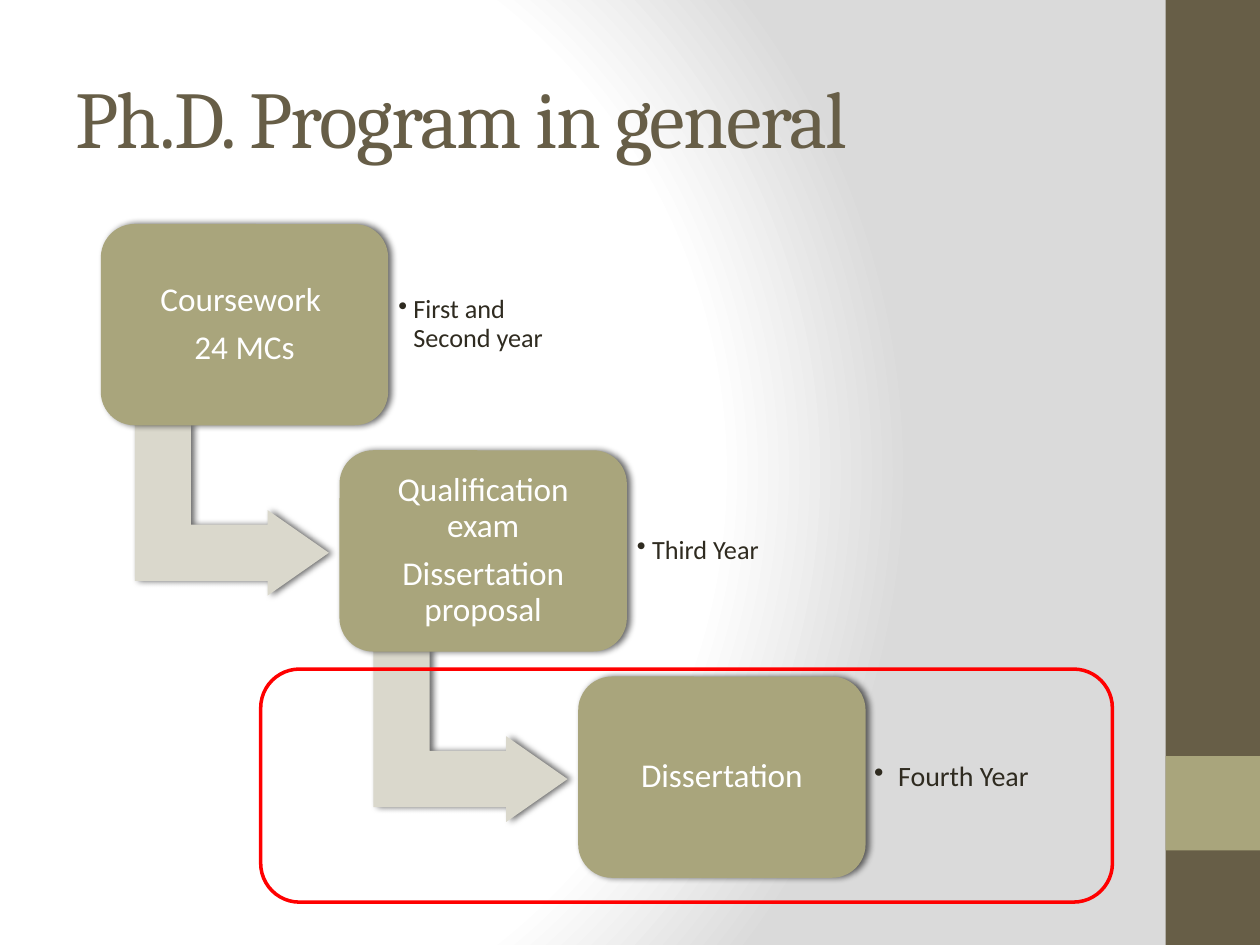
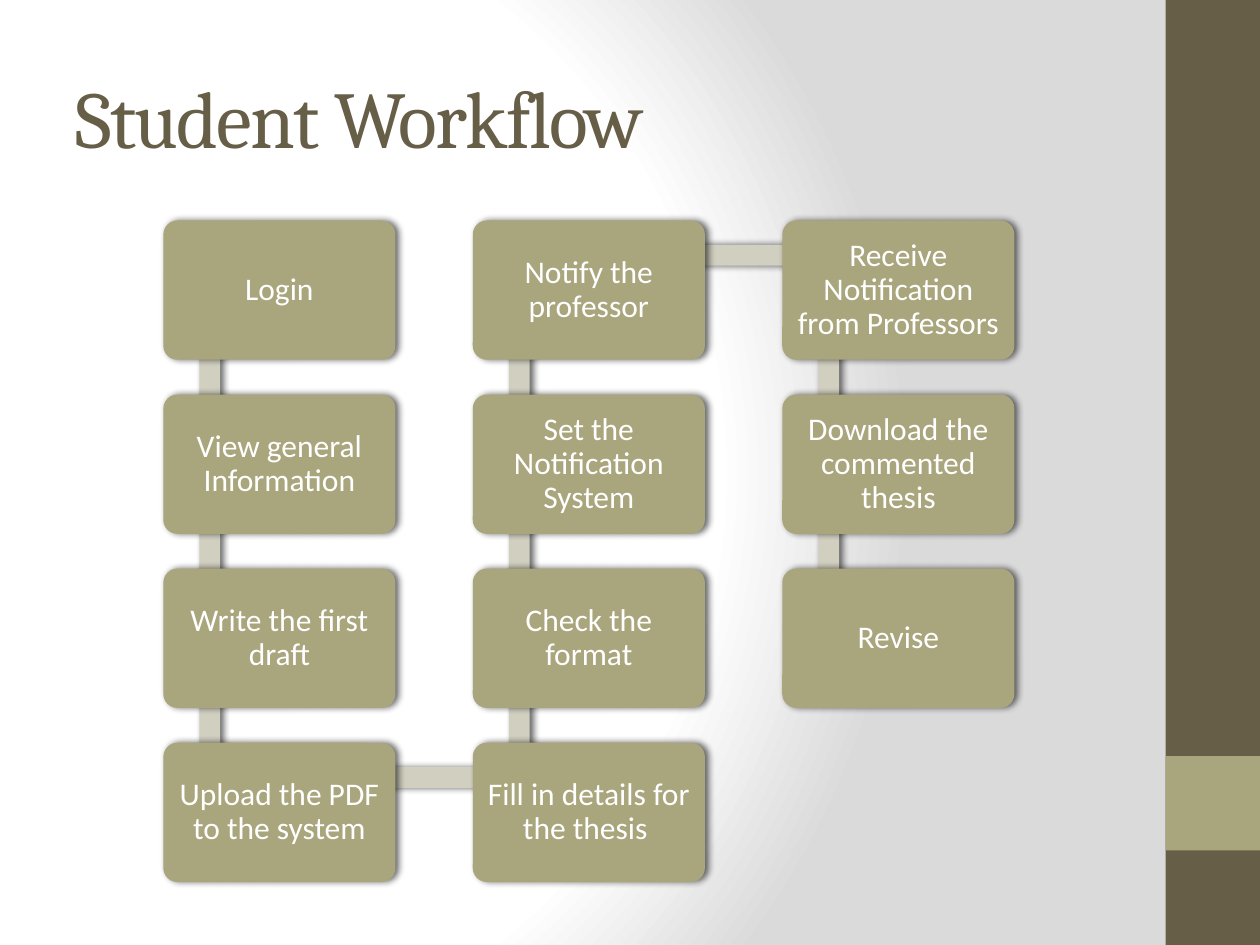
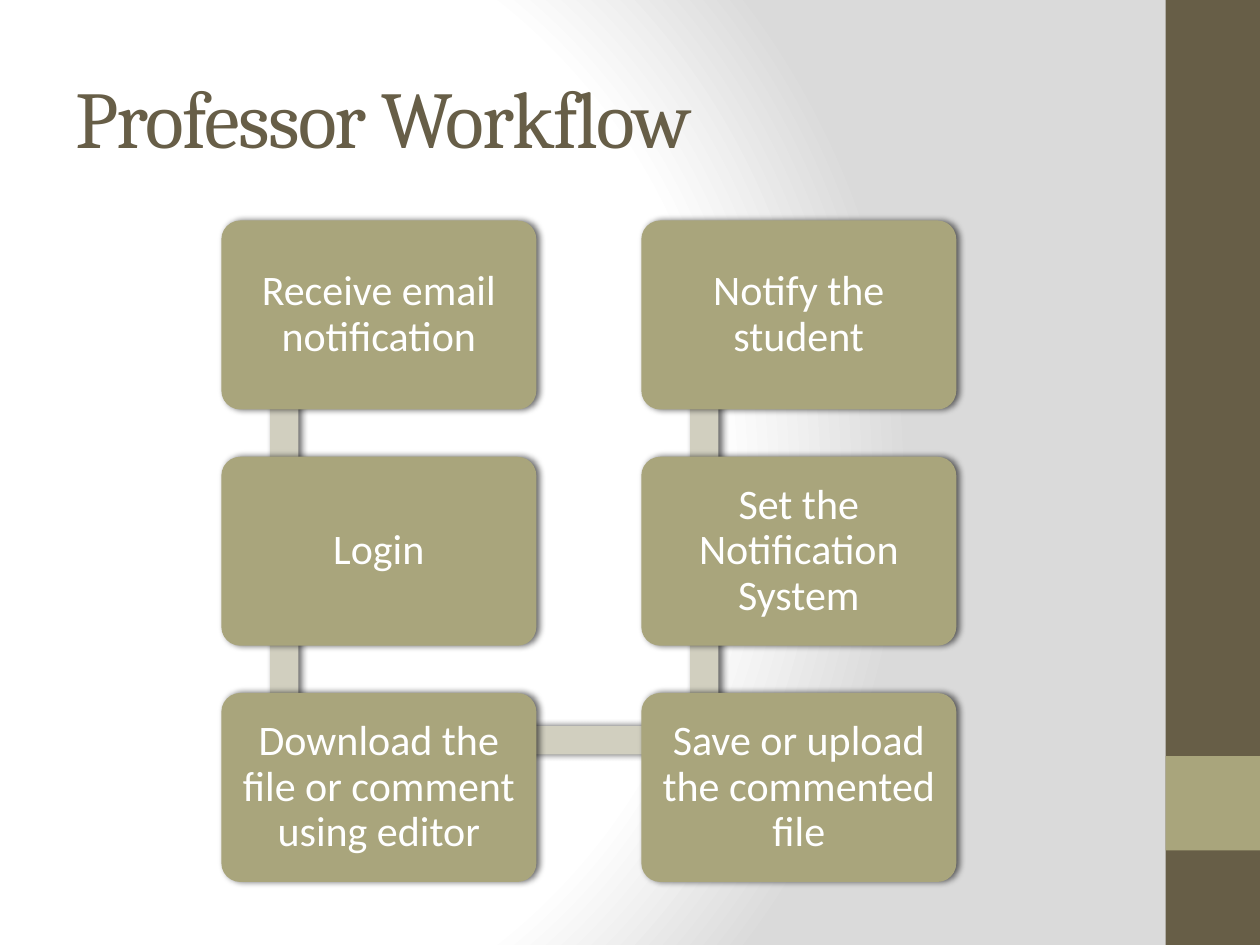
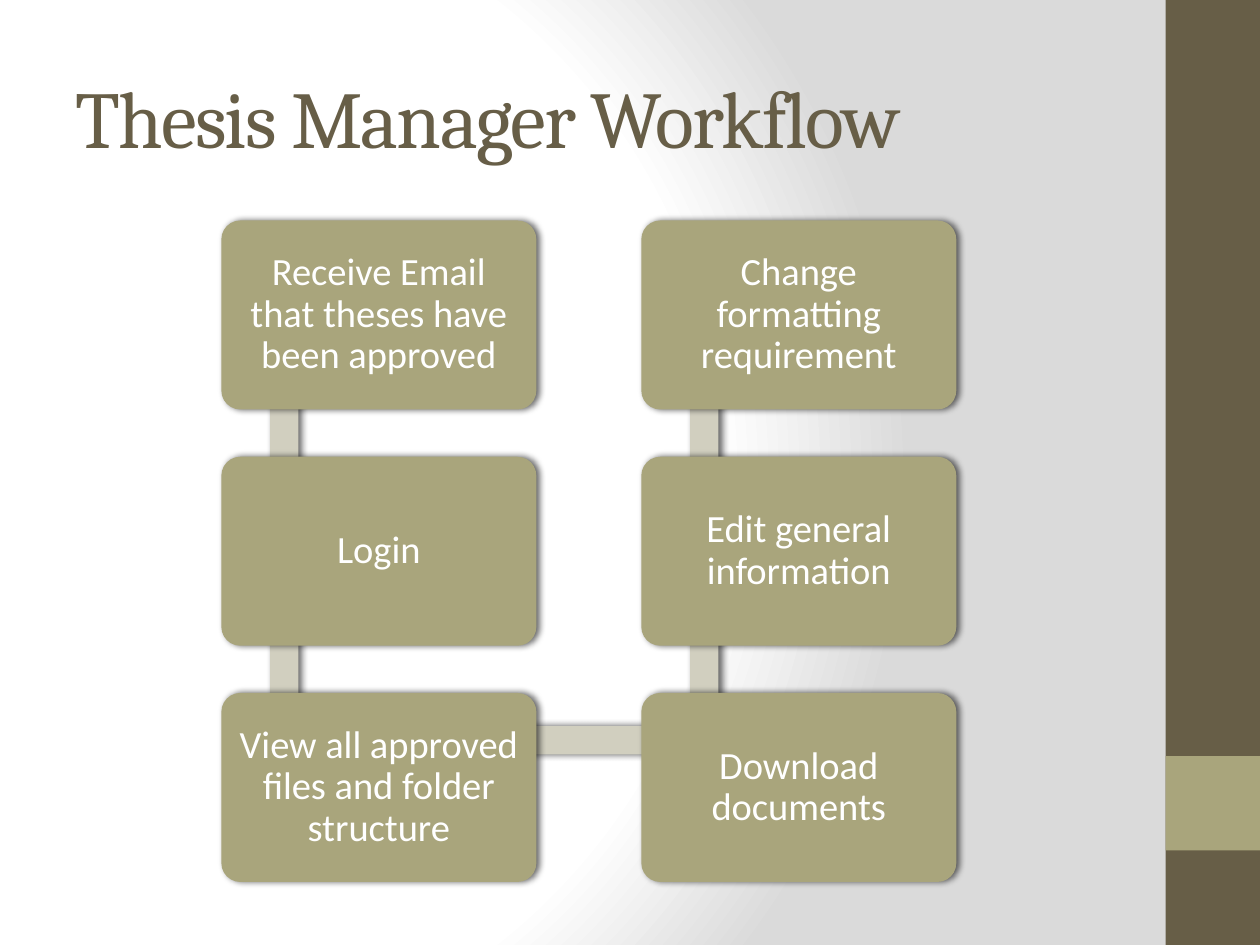
from pptx import Presentation
from pptx.dml.color import RGBColor
from pptx.enum.shapes import MSO_SHAPE as Preset
from pptx.enum.text import MSO_ANCHOR as Anchor, PP_ALIGN as Align
from pptx.oxml import parse_xml
from pptx.oxml.ns import nsdecls, qn
from pptx.util import Pt

BROWN = RGBColor(0x67, 0x5E, 0x47)
OLIVE = RGBColor(0xA9, 0xA5, 0x7C)
BAR = RGBColor(0xD1, 0xCF, 0xBF)
ARROW = RGBColor(0xDA, 0xD8, 0xCC)
INK = RGBColor(0x2F, 0x2B, 0x20)
WHITE = RGBColor(0xFF, 0xFF, 0xFF)
MIST = RGBColor(0xDA, 0xDA, 0xDA)
RED = RGBColor(0xFF, 0x00, 0x00)
HEADING_FONT, BODY_FONT = "Cambria", "Calibri"

SLIDE_W, SLIDE_H = 720, 540
TITLE_BOX = (36, 21.6, 600, 90)
BODY_BOX = (36.5, 126, 600, 378)
STEP_W, STEP_H = 164.2, 115
STEP_DX, STEP_DY = 136.4, 129.3

PROGRAM = [
    (["Coursework ", "24 MCs"], "First and Second year", 15, 5.8, 8.6),
    (["Qualification exam", "Dissertation proposal"], "Third Year", 15, 5.8, 8.6),
    (["Dissertation"], "Fourth Year", 16, 5, 13.7),
]
WORKFLOWS = [
    ("Student Workflow", 4, 18, [
        "Login", "View general Information", "Write the first draft",
        "Upload the PDF to the system", "Fill in details for the thesis ",
        "Check the format", "Set the Notification System",
        "Notify the professor", "Receive Notification from Professors",
        "Download the commented thesis", "Revise"]),
    ("Professor Workflow", 3, 24, [
        "Receive email notification", "Login",
        "Download the file or comment using editor",
        "Save or upload the commented file",
        "Set the Notification System", "Notify the student"]),
    ("Thesis Manager Workflow", 3, 22, [
        "Receive Email that theses have been approved", "Login",
        "View all approved files and folder structure",
        "Download documents", "Edit general information",
        "Change formatting requirement"]),
]


def add_block(slide, preset, box, color, shadowed=True):
    """Add a filled, unlined shape, with a soft shadow if wanted."""
    block = slide.shapes.add_shape(preset, *map(Pt, box))
    block.fill.solid()
    block.fill.fore_color.rgb = color
    block.line.fill.background()
    block.shadow.inherit = False
    if shadowed:
        block.element.spPr.find(qn("a:effectLst")).append(parse_xml(
            f'<a:outerShdw {nsdecls("a")} blurRad="{Pt(4)}" dist="{Pt(2)}" dir="0" '
            'rotWithShape="0"><a:srgbClr val="000000"><a:alpha val="60000"/>'
            '</a:srgbClr></a:outerShdw>'))
    return block


def write(holder, lines, size, color, inset=None, font=BODY_FONT, align=Align.LEFT,
          spacing=0.9, after=0):
    """Fill a shape with vertically centred paragraphs of one style."""
    frame = holder.text_frame
    frame.word_wrap = True
    frame.vertical_anchor = Anchor.MIDDLE
    if inset is not None:
        frame.margin_left = frame.margin_right = Pt(inset)
        frame.margin_top = frame.margin_bottom = Pt(inset)
    frame.text = "\n".join(lines)
    for paragraph in frame.paragraphs:
        paragraph.alignment = align
        paragraph.line_spacing = spacing
        paragraph.space_after = Pt(after)
        paragraph.font.name = font
        paragraph.font.size = Pt(size)
        paragraph.font.color.rgb = color


def add_card(slide, box, lines, size, corner):
    """Add a rounded olive card with centred white text."""
    card = add_block(slide, Preset.ROUNDED_RECTANGLE, box, OLIVE)
    card.adjustments[0] = corner
    write(card, lines, size, WHITE, 0.3 * size, align=Align.CENTER, after=0.35 * size)


def add_title(slide, box, title):
    """Add the slide heading."""
    heading = slide.shapes.add_textbox(*map(Pt, box))
    write(heading, [title], 46, BROWN, font=HEADING_FONT, spacing=1.0)
    heading.element.xpath(".//a:defRPr")[0].set("spc", "-100")


def add_year(slide, box, year, size, inset, hang):
    """Add a bulleted year note."""
    note = slide.shapes.add_textbox(*map(Pt, box))
    write(note, [year], size, INK, inset, after=0.15 * size)
    note.text_frame.paragraphs[0].level = 1
    properties = note.element.xpath(".//a:pPr")[0]
    properties.set("marL", str(Pt(hang)))
    properties.set("indent", str(-Pt(hang)))
    properties.find(qn("a:defRPr")).addprevious(
        parse_xml(f'<a:buChar {nsdecls("a")} char="•"/>'))


def add_staircase(slide, left, top, steps):
    """Lay the steps down a diagonal, each leading to the next by a bent arrow."""
    for index, (lines, year, size, inset, hang) in enumerate(steps):
        x, y = left + index * STEP_DX, top + index * STEP_DY
        if index < len(steps) - 1:
            arrow = add_block(slide, Preset.BENT_UP_ARROW,
                              (x + 25.9, y + 108, 97.9, 110.9), ARROW)
            arrow.rotation = 90
            for position, value in enumerate((0.328, 0.25, 0.358)):
                arrow.adjustments[position] = value
        add_card(slide, (x, y, STEP_W, STEP_H), lines, 19, 0.167)
        add_year(slide, (x + STEP_W, y + 11, 119.5, 93), year, size, inset, hang)


def add_highlight(slide, box):
    """Add the red outline round the current stage."""
    outline = slide.shapes.add_shape(Preset.ROUNDED_RECTANGLE, *map(Pt, box))
    outline.fill.background()
    outline.line.color.rgb = RED
    outline.line.width = Pt(2)
    outline.shadow.inherit = False


def add_snake(slide, box, rows, size, steps):
    """Run the steps down and up through columns centred in the box, joined by bars."""
    left, top, width, height = box
    card_h = height / (rows + (rows - 1) / 4)
    card_w = card_h / 0.6
    pitch_x, pitch_y = card_w * 4 / 3, card_h * 5 / 4
    columns = -(-len(steps) // rows)
    start = left + (width - card_w - (columns - 1) * pitch_x) / 2
    thick = 0.15 * card_h

    def corner(index):
        """Return the left and top of a card."""
        column, row = divmod(index, rows)
        if column % 2:
            row = rows - 1 - row
        return start + column * pitch_x, top + row * pitch_y

    for index, step in enumerate(steps):
        x, y = corner(index)
        if index < len(steps) - 1:
            next_x, next_y = corner(index + 1)
            joint_x, joint_y = x + 0.2 * card_w, min(y, next_y) + 0.25 * card_h
            if next_x > x:
                bar = (joint_x, joint_y - thick / 2, pitch_x, thick)
            else:
                bar = (joint_x - thick / 2, joint_y, thick, pitch_y)
            add_block(slide, Preset.RECTANGLE, bar, BAR)
        add_card(slide, (x, y, card_w, card_h), [step], size, 0.1)


def dress_layout(layout, slide):
    """Give the layout the glowing background and the side band, made on a slide."""
    for placeholder in list(layout.placeholders):
        layout.shapes.element.remove(placeholder.element)
    stops = "".join(f'<a:gs pos="{pos}"><a:srgbClr val="{color}"/></a:gs>'
                    for pos, color in ((0, WHITE), (75000, WHITE), (100000, MIST)))
    layout.element.cSld.insert(0, parse_xml(
        f'<p:bg {nsdecls("p", "a")}><p:bgPr><a:gradFill rotWithShape="1">'
        f'<a:gsLst>{stops}</a:gsLst><a:path path="circle">'
        '<a:fillToRect l="20000" t="50000" r="100000" b="50000"/></a:path>'
        '</a:gradFill><a:effectLst/></p:bgPr></p:bg>'))
    bands = [add_block(slide, Preset.RECTANGLE, (SLIDE_W - 54, y, 54, height), color, False)
             for y, height, color in ((0, SLIDE_H, BROWN), (432, 54, OLIVE))]
    for band in bands:
        layout.shapes.element.append(band.element)


def program_slide(slide):
    """Build the overview of the programme."""
    add_title(slide, TITLE_BOX, "Ph.D. Program in general")
    add_staircase(slide, 57.6, 128, PROGRAM)
    add_highlight(slide, (149, 382.3, 486.7, 133.2))


def workflow_slide(slide, title, rows, size, steps):
    """Build one workflow."""
    add_title(slide, TITLE_BOX, title)
    add_snake(slide, BODY_BOX, rows, size, steps)


def main():
    """Build and save the presentation."""
    deck = Presentation()
    deck.slide_width, deck.slide_height = Pt(SLIDE_W), Pt(SLIDE_H)
    blank = deck.slide_layouts[6]
    overview = deck.slides.add_slide(blank)
    dress_layout(blank, overview)
    program_slide(overview)
    for workflow in WORKFLOWS:
        workflow_slide(deck.slides.add_slide(blank), *workflow)
    deck.save("out.pptx")


main()
